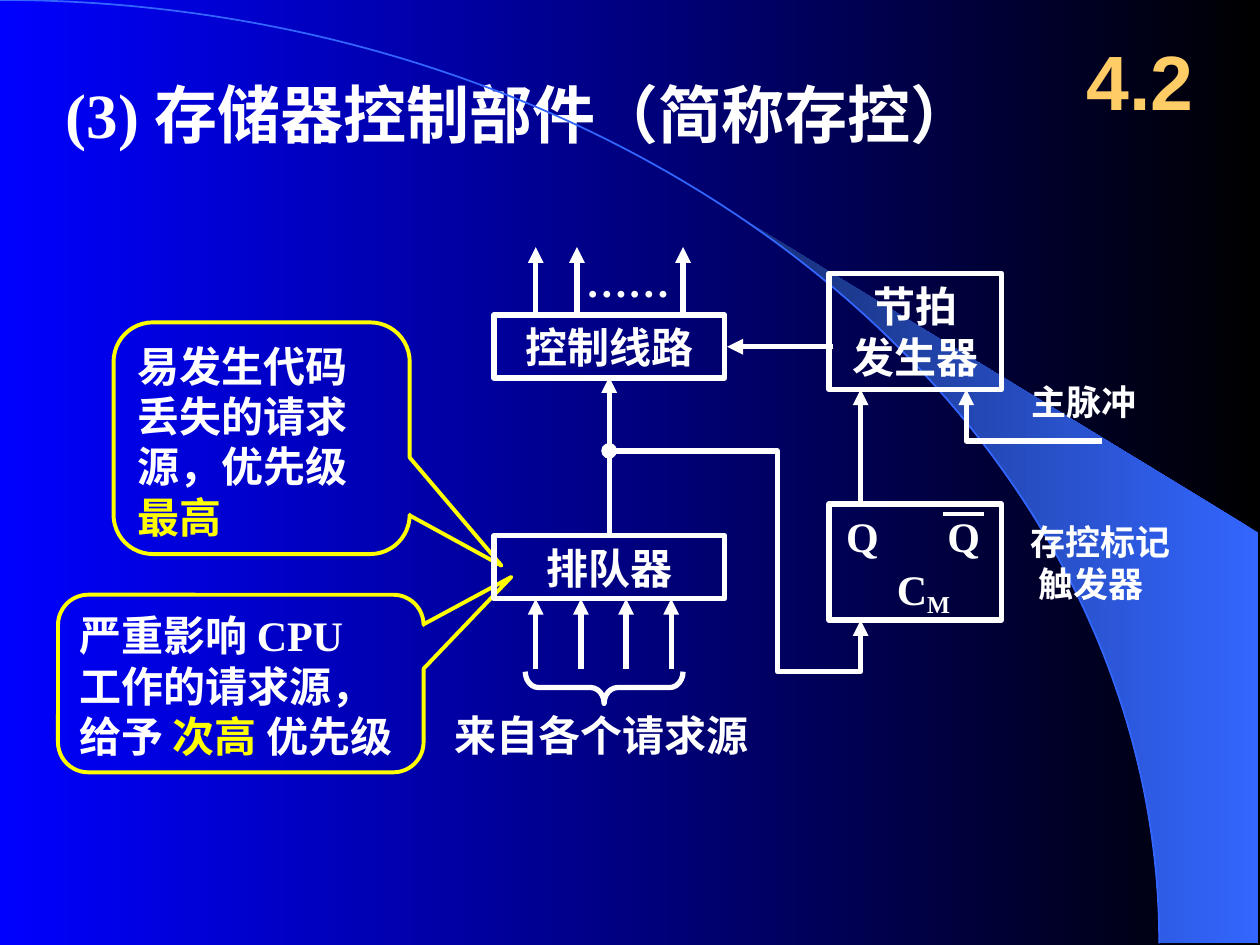
from math import asin, cos, pi, sin

from lxml.etree import SubElement
from pptx import Presentation
from pptx.dml.color import RGBColor
from pptx.enum.shapes import MSO_CONNECTOR, MSO_SHAPE
from pptx.enum.text import MSO_ANCHOR as Anchor, MSO_AUTO_SIZE, PP_ALIGN as Align
from pptx.oxml.ns import qn
from pptx.util import Cm, Pt

WHITE = RGBColor(0xFF, 0xFF, 0xFF)
BLACK = RGBColor(0x00, 0x00, 0x00)
BLUE = RGBColor(0x00, 0x00, 0xFF)
SKY = RGBColor(0x33, 0x66, 0xFF)
NAVY = RGBColor(0x17, 0x2F, 0x75)
YELLOW = RGBColor(0xFF, 0xFF, 0x00)
GOLD = RGBColor(0xFF, 0xCC, 0x66)


def box(left, top, width, height):
    return Cm(left), Cm(top), Cm(width), Cm(height)


def fill_gradient(fill, first, last):
    fill.gradient()
    fill.gradient_angle = 180
    for stop, color in zip(fill.gradient_stops, (first, last)):
        stop.color.rgb = color


def write(frame, lines, size=24, color=WHITE, font="Times New Roman",
          align=Align.LEFT, anchor=Anchor.TOP):
    """Fill a frame; every line is a list of runs."""
    frame.auto_size = MSO_AUTO_SIZE.NONE
    frame.vertical_anchor = anchor
    for number, runs in enumerate(lines):
        paragraph = frame.paragraphs[0] if number == 0 else frame.add_paragraph()
        paragraph.text = runs[0]
        for extra in runs[1:]:
            paragraph.add_run().text = extra
        paragraph.alignment = align
        for run in paragraph.runs:
            run.font.size = Pt(size)
            run.font.bold = True
            run.font.name = font
            run.font.color.rgb = color


def add_label(slide, place, *lines, wrap=False, **style):
    frame = slide.shapes.add_textbox(*box(*place)).text_frame
    frame.word_wrap = wrap
    write(frame, [[line] for line in lines], **style)
    return frame


def add_outline(slide, kind, place, color=WHITE, width=3, adjustments=()):
    outline = slide.shapes.add_shape(kind, *box(*place))
    outline.shadow.inherit = False
    outline.fill.background()
    outline.line.color.rgb = color
    outline.line.width = Pt(width)
    for index, value in enumerate(adjustments):
        outline.adjustments[index] = value
    return outline


def add_unit(slide, place, *lines):
    frame = add_outline(slide, MSO_SHAPE.RECTANGLE, place).text_frame
    frame.word_wrap = False
    write(frame, [[line] for line in lines], align=Align.CENTER, anchor=Anchor.MIDDLE)


def add_callout(slide, place, adjustments, lines):
    callout = add_outline(slide, MSO_SHAPE.ROUNDED_RECTANGULAR_CALLOUT, place,
                          YELLOW, 2.25, adjustments)
    callout.text_frame.word_wrap = True
    write(callout.text_frame, lines)
    return callout.text_frame


def set_ends(line, head=None, tail=None):
    ln = line.get_or_add_ln() if hasattr(line, "get_or_add_ln") else line._get_or_add_ln()
    for tag, kind in (("a:headEnd", head), ("a:tailEnd", tail)):
        if kind:
            SubElement(ln, qn(tag), type=kind)


def add_line(slide, start, end, width=3, tail="triangle"):
    wire = slide.shapes.add_connector(MSO_CONNECTOR.STRAIGHT, *box(*start, *end))
    wire.line.color.rgb = WHITE
    wire.line.width = Pt(width)
    set_ends(wire.line, tail=tail)
    SubElement(wire._element.spPr, qn("a:effectLst"))


def build_path(slide, points, close):
    corners = [(Cm(x), Cm(y)) for x, y in points]
    builder = slide.shapes.build_freeform(*corners[0])
    builder.add_line_segments(corners[1:], close=close)
    path_shape = builder.convert_to_shape()
    path_shape.shadow.inherit = False
    return path_shape


def add_bent_wire(slide, points, **ends):
    wire = build_path(slide, points, close=False)
    wire.fill.background()
    wire.line.color.rgb = WHITE
    wire.line.width = Pt(3)
    set_ends(wire.line, **ends)


def add_backdrop(slide):
    fill_gradient(slide.background.fill, BLACK, BLUE)
    # Band between a quarter ellipse and the right edge
    radius_x, radius_y, steps = 23.37, 19.02, 24
    first = asin(14.96 / radius_x)
    angles = [first + (pi / 2 - first) * i / steps for i in range(steps + 1)]
    curve = [(radius_x * sin(a), radius_y * (1 - cos(a))) for a in angles]
    band = build_path(slide, curve + [(25.37, 19.02), (25.37, 10.74)], close=True)
    fill_gradient(band.fill, SKY, NAVY)
    band.line.fill.background()
    add_outline(slide, MSO_SHAPE.ARC, (-radius_x, 0, 2 * radius_x, 2 * radius_y), SKY, 1)


def add_headings(slide):
    title = slide.shapes.title
    title.left, title.top, title.width, title.height = box(1.07, 1.4, 20.96, 1.78)
    write(title.text_frame, [["(3) 存储器控制部件（简称存控）"]], size=36)
    add_label(slide, (21.39, 0.43, 3.18, 2.34), "4.2", size=44, color=GOLD,
              font="Arial", align=Align.CENTER, anchor=Anchor.MIDDLE)


def add_callouts(slide):
    highest = add_callout(slide, (2.29, 6.5, 5.97, 4.67), (0.81, 0.55, 0.17),
                          [["易发生代码"], ["丢失的请求源，优先级"], ["最高"]])
    highest.paragraphs[2].runs[0].font.color.rgb = YELLOW
    second = add_callout(slide, (1.17, 11.99, 7.37, 3.58), (0.74, -0.6, 0.17),
                         [["严重影响 CPU"], ["工作的请求源，"],
                          ["给予 ", "次高 ", "优先级"]])
    second.word_wrap = False
    second.paragraphs[2].runs[1].font.color.rgb = YELLOW


def add_units(slide):
    add_unit(slide, (9.96, 6.35, 4.65, 1.27), "控制线路")
    add_unit(slide, (9.96, 10.8, 4.65, 1.27), "排队器")
    add_unit(slide, (16.71, 5.51, 3.48, 2.34), "节拍", "发生器")
    # Flag flip-flop with its outputs and name
    add_outline(slide, MSO_SHAPE.RECTANGLE, (16.71, 10.16, 3.48, 2.34))
    for left in (16.81, 18.85):
        add_label(slide, (left, 10.16, 1.17, 1.27), "Q")
    add_line(slide, (19, 10.36), (19.84, 10.36), width=2.25, tail=None)
    flag = add_label(slide, (17.83, 11.23, 1.57, 1.37))
    write(flag, [["C", "M"]])
    flag.paragraphs[0].runs[1].font._element.set("baseline", "-20000")


def add_signals(slide):
    # Requests entering the queue
    for i in range(4):
        x = 10.8 + 0.91 * i
        add_line(slide, (x, 13.49), (x, 12.07))
    brace = add_outline(slide, MSO_SHAPE.LEFT_BRACE, (11.86, 12.27, 0.64, 3.18),
                        adjustments=(0.42, 0.5))
    brace.rotation = 270
    add_label(slide, (8.92, 14.17, 6.43, 1.27), "来自各个请求源")
    # Control outputs
    for x in (10.8, 11.63, 13.77):
        add_line(slide, (x, 6.4), (x, 4.98))
    add_label(slide, (11.56, 5.03, 2.18, 1.27), "……")
    # Wires between the units
    add_line(slide, (12.28, 10.8), (12.28, 7.6))
    add_line(slide, (16.79, 6.99), (14.66, 6.99))
    add_line(slide, (17.35, 10.16), (17.35, 7.85))
    add_bent_wire(slide, [(22.22, 8.89), (19.48, 8.89), (19.48, 7.85)], tail="triangle")
    add_bent_wire(slide, [(17.35, 12.5), (17.35, 13.54), (15.67, 13.54),
                          (15.67, 9.09), (12.28, 9.09)], head="triangle", tail="oval")
    add_label(slide, (20.55, 7.54, 2.62, 1.12), "主脉冲", size=20)
    add_label(slide, (20.52, 10.36, 4.8, 1.96), "存控标记", " 触发器", size=20, wrap=True)


def main():
    deck = Presentation()
    deck.slide_width, deck.slide_height = Cm(25.4), Cm(19.05)
    slide = deck.slides.add_slide(deck.slide_layouts[5])  # title only
    add_backdrop(slide)
    add_headings(slide)
    add_callouts(slide)
    add_units(slide)
    add_signals(slide)
    deck.save("out.pptx")


if __name__ == "__main__":
    main()
